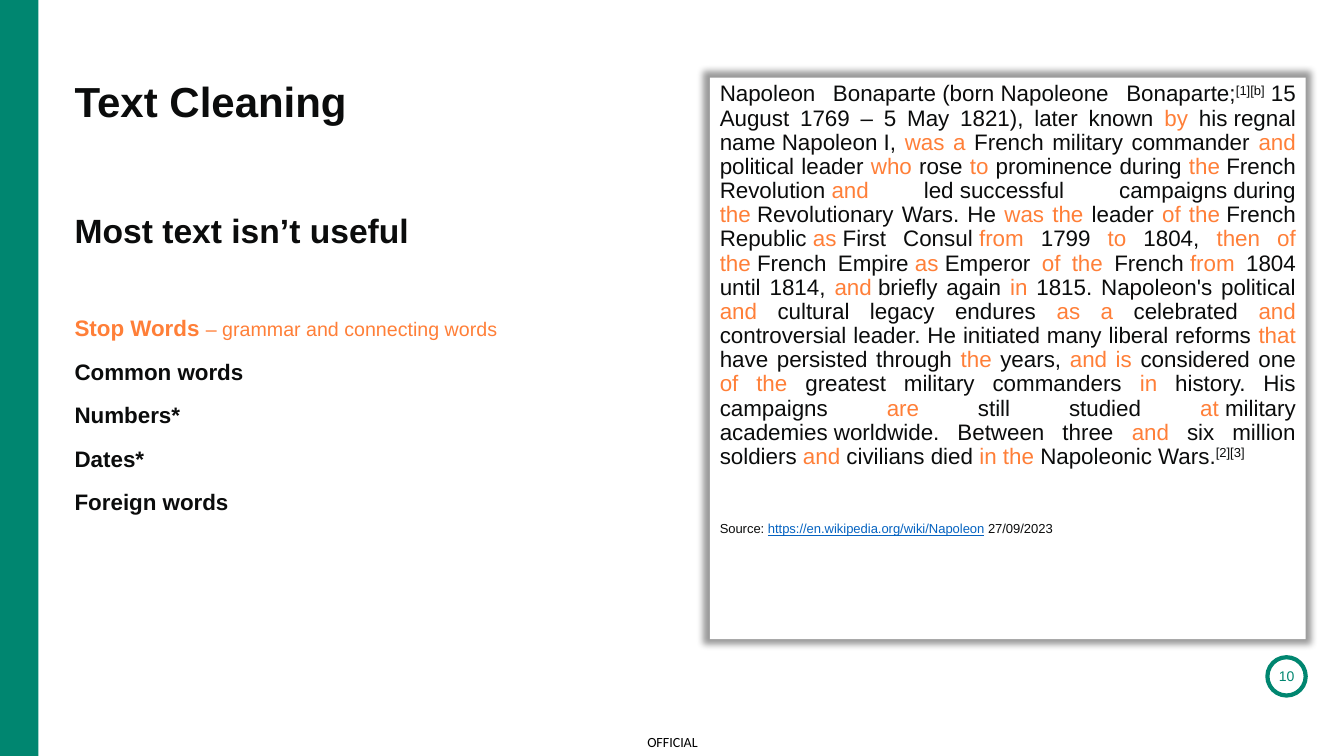
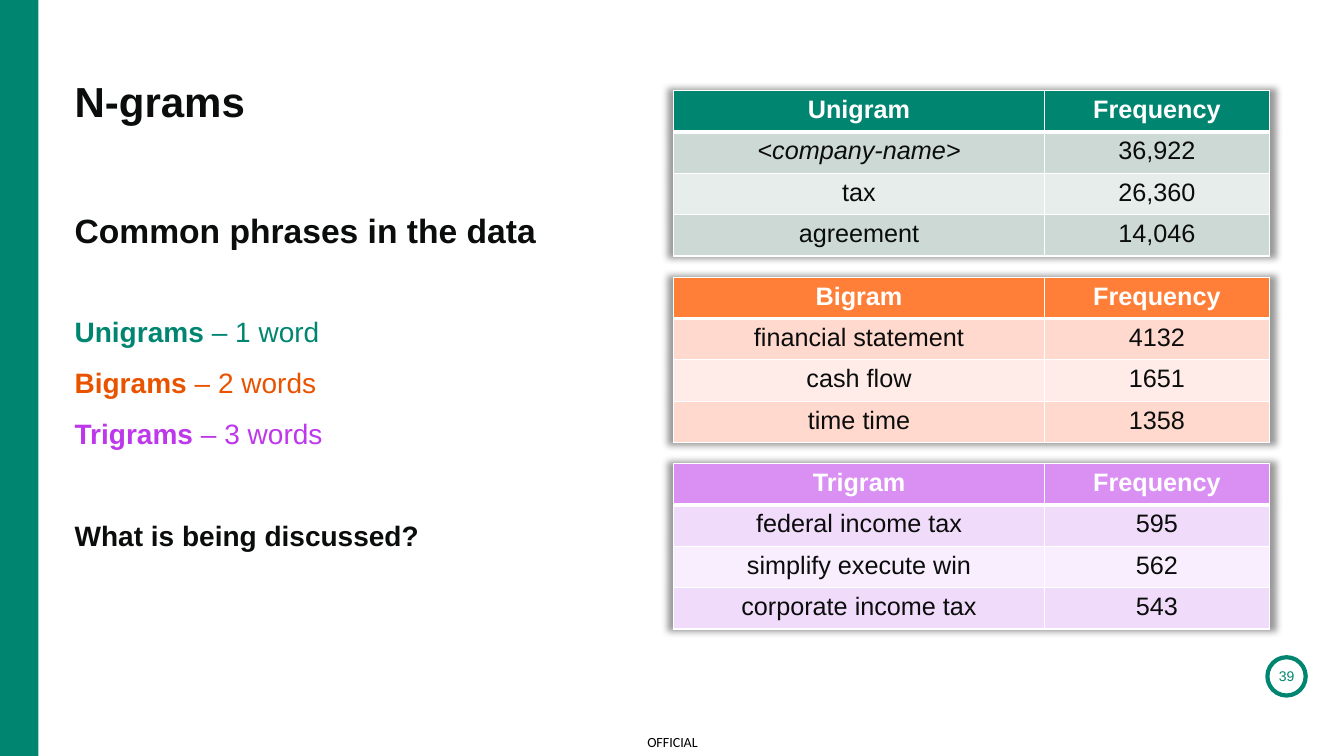
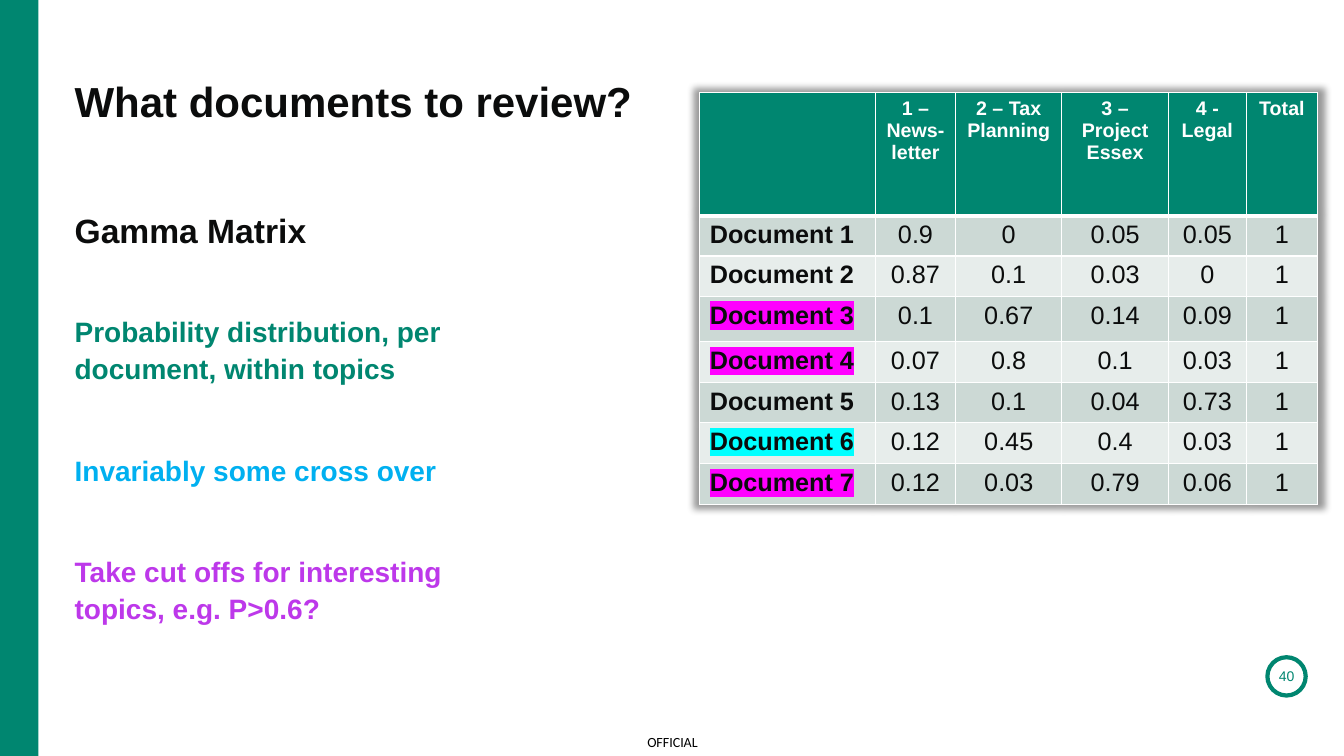
from lxml import etree
from pptx import Presentation
from pptx import util as u
from pptx.dml.color import RGBColor
from pptx.enum import shapes, text
from pptx.oxml import parse_xml
from pptx.oxml.ns import qn

PX = 9144  # 100 px to the inch
FONT = "Arial"
INK, WHITE, BLACK = "0B0C0C", "FFFFFF", "000000"
GREEN, ORANGE, PURPLE = "008670", "FF7F38", "BD38EA"
RUST, SKY, LINK = "E95300", "00B0F0", "0563C1"
MAGENTA, CYAN = "FF00FF", "00FFFF"
GREENS = (GREEN, "CCD9D5", "E7EDEB")  # header, odd rows, even rows
ORANGES = (ORANGE, "FFD8CE", "FFECE8")
PURPLES = ("DA8FF3", "F1DBFA", "F8EEFD")
NS = "http://schemas.openxmlformats.org/drawingml/2006/main"
LEFT, CENTER, JUSTIFY = (text.PP_ALIGN.LEFT, text.PP_ALIGN.CENTER,
                         text.PP_ALIGN.JUSTIFY)
GAP = 46  # points before a paragraph that starts a new group

# Stop words stand between bars; a tilde is a no-break space.
BIOGRAPHY = (
    "~15 August 1769 – 5 May 1821), later known |by |his~regnal name~Napoleon~I, ",
    "|was a| French military commander |and| political leader |who| rose |to| ",
    "prominence during |the~|French Revolution~|and| led~successful ",
    "campaigns~during| the~|Revolutionary Wars. He| was the |leader |of the~|",
    "French Republic~|as~|First Consul~|from| 1799 |to| 1804, |then of the~|",
    "French Empire~|as~|Emperor |of the |French~|from| 1804 until 1814, |and~|",
    "briefly again |in| 1815. Napoleon's political |and| cultural legacy endures ",
    "|as a| celebrated |and| controversial leader. He initiated many liberal ",
    "reforms |that| have persisted through |the| years, |and is |considered one ",
    "|of the |greatest military commanders |in| history. His campaigns |are| ",
    "still studied |at~|military academies~worldwide. Between three |and| six ",
    "million soldiers |and| civilians~died~|in the~|Napoleonic Wars.")


def rgb(value):
    return RGBColor.from_string(value)


def px(*lengths):
    return [u.Emu(n * PX) for n in lengths]


def add_run(p, words, size=16, color=INK, highlight=None, raised=False, **fmt):
    r = p.add_run()
    r.text = words
    for key, value in {"name": FONT, "size": u.Pt(size), **fmt}.items():
        setattr(r.font, key, value)
    r.font.color.rgb = rgb(color)
    props = r.font._element
    if raised:
        props.set("baseline", "30000")
    if highlight:
        mark = etree.Element(qn("a:highlight"))
        etree.SubElement(mark, qn("a:srgbClr")).set("val", highlight)
        props.find(qn("a:solidFill")).addnext(mark)


def fill_text(tf, paras, align=LEFT, spacing=1.1):
    """Write paragraphs, each a pair of space before and list of (words, format)."""
    for i, (before, runs) in enumerate(paras):
        p = tf.add_paragraph() if i else tf.paragraphs[0]
        p.alignment, p.line_spacing = align, spacing
        p.space_before = u.Pt(before if i else 0)
        for words, fmt in runs:
            add_run(p, words, **fmt)


def text_box(slide, box, paras, inset=(0, 0), anchor=text.MSO_ANCHOR.TOP, **layout):
    sp = slide.shapes.add_textbox(*px(*box))
    tf = sp.text_frame
    side, end = px(*inset)
    for key, value in {"word_wrap": True, "vertical_anchor": anchor,
                       "margin_left": side, "margin_right": side,
                       "margin_top": end, "margin_bottom": end}.items():
        setattr(tf, key, value)
    fill_text(tf, paras, **layout)
    return sp


def soft_shadow():
    return parse_xml(
        f'<a:effectLst xmlns:a="{NS}"><a:outerShdw blurRad="63500" sx="102000" '
        'sy="102000" algn="ctr" rotWithShape="0"><a:prstClr val="black">'
        '<a:alpha val="40000"/></a:prstClr></a:outerShdw></a:effectLst>')


def add_frame(slide, number):
    """Side band, marking and page number."""
    band = slide.shapes.add_shape(shapes.MSO_SHAPE.RECTANGLE, *px(0, 0, 38, 750))
    band.shadow.inherit = False
    band.fill.solid()
    band.fill.fore_color.rgb = rgb(GREEN)
    band.line.fill.background()

    middle = text.MSO_ANCHOR.MIDDLE
    text_box(slide, (627, 721, 80, 29),
             [(0, [("OFFICIAL", dict(size=10, color=BLACK, name="Calibri"))])],
             anchor=middle, align=CENTER)

    ring = slide.shapes.add_shape(shapes.MSO_SHAPE.OVAL, *px(1257, 652, 38, 38))
    ring.shadow.inherit = False
    ring.fill.background()
    ring.line.color.rgb = rgb(GREEN)
    ring.line.width = u.Pt(3)
    tf = ring.text_frame
    for side in ("left", "right", "top", "bottom"):
        setattr(tf, f"margin_{side}", 0)
    tf.vertical_anchor, tf.word_wrap = middle, False
    fill_text(tf, [(0, [(str(number), dict(size=10, color=GREEN))])],
              align=CENTER, spacing=1.0)


def new_slide(prs, number, title, subtitle, points, points_width=592):
    slide = prs.slides.add_slide(prs.slide_layouts[6])
    add_frame(slide, number)
    text_box(slide, (74, 75, 592, 50),
             [(0, [(title, dict(size=30, bold=True))])], spacing=1.0)
    text_box(slide, (74, 204, 592, 41),
             [(0, [(subtitle, dict(size=24, bold=True))])])
    text_box(slide, (74, 309, points_width, 366), points)
    return slide


def set_borders(cell, top, bottom):
    props = cell._tc.get_or_add_tcPr()
    for side, width in (("L", 1), ("R", 1), ("T", top), ("B", bottom)):
        props.append(parse_xml(
            f'<a:ln{side} xmlns:a="{NS}" w="{width * 12700}"><a:solidFill>'
            f'<a:srgbClr val="{WHITE}"/></a:solidFill></a:ln{side}>'))


def add_grid(slide, left, top, widths, heights, rows, colors, head_size=18,
             row_names=False, styles=None):
    """Table with a coloured header; styles gives extra formats for some words."""
    styles = styles or {}
    frame = slide.shapes.add_table(len(rows), len(widths),
                                   *px(left, top, sum(widths), sum(heights)))
    tbl = frame.table
    tbl.first_row = tbl.horz_banding = False
    tbl._tbl.tblPr.insert(0, soft_shadow())
    for parts, attr, sizes in ((tbl.columns, "width", widths),
                               (tbl.rows, "height", heights)):
        for part, size in zip(parts, px(*sizes)):
            setattr(part, attr, size)
    for i, row in enumerate(rows):
        shade = colors[0] if i == 0 else colors[2 - i % 2]
        for j, words in enumerate(row):
            cell = tbl.cell(i, j)
            set_borders(cell, 3 if i == 1 else 1, 3 if i == 0 else 1)
            cell.fill.solid()
            cell.fill.fore_color.rgb = rgb(shade)
            named = row_names and j == 0
            fmt = dict(size=18 if i else head_size, color=INK if i else WHITE,
                       bold=i == 0 or named, **styles.get(words, {}))
            if words:
                fill_text(cell.text_frame,
                          [(0, [(line, fmt)]) for line in words.split("\n")],
                          align=LEFT if named and i else CENTER, spacing=1.0)


def biography_panel(slide, box):
    raised = dict(raised=True)
    runs = [("Napoleon Bonaparte~(born~Napoleone Bonaparte;", {}), ("[1][b]", raised)]
    runs += [(part, dict(color=ORANGE if i % 2 else INK))
             for i, part in enumerate("".join(BIOGRAPHY).split("|"))]
    runs.append(("[2][3]", raised))
    source = [("Source: ", raised),
              ("https://en.wikipedia.org/wiki/Napoleon",
               dict(color=LINK, underline=True, raised=True)),
              (" 27/09/2023", raised)]
    life = [(words.replace("~", chr(160)), fmt) for words, fmt in runs]
    sp = text_box(slide, box, [(0, life), (37, source)], inset=(10, 5),
                  align=JUSTIFY, spacing=0.9)
    sp.fill.solid()
    sp.fill.fore_color.rgb = rgb(WHITE)
    sp._element.spPr.append(soft_shadow())


def cleaning_slide(prs):
    points = [(0, [("Stop Words ", dict(color=ORANGE, bold=True)),
                   ("– grammar and connecting words", dict(size=14, color=ORANGE))])]
    points += [(10, [(words, dict(bold=True))]) for words in
               ("Common words", "Numbers*", "Dates*", "Foreign words")]
    slide = new_slide(prs, 10, "Text Cleaning", "Most text isn’t useful", points)
    biography_panel(slide, (704, 77, 591, 557))


def ngrams_slide(prs):
    points = [(10, [(kind, dict(size=20, color=color, bold=True)),
                    (meaning, dict(size=20, color=color))])
              for kind, meaning, color in (("Unigrams ", "– 1 word", GREEN),
                                           ("Bigrams ", "– 2 words", RUST),
                                           ("Trigrams ", "– 3 words", PURPLE))]
    points.append((GAP, [("What is being discussed?", dict(size=20, bold=True))]))
    slide = new_slide(prs, 39, "N-grams", "Common phrases in the data", points)
    tables = (
        ("Unigram", GREENS, [("<company-name>", "36,922"), ("tax", "26,360"),
                             ("agreement", "14,046")]),
        ("Bigram", ORANGES, [("financial statement", "4132"), ("cash flow", "1651"),
                             ("time time", "1358")]),
        ("Trigram", PURPLES, [("federal income tax", "595"),
                              ("simplify execute win", "562"),
                              ("corporate income tax", "543")]))
    for i, (kind, colors, counts) in enumerate(tables):
        add_grid(slide, 668, 90 + 185 * i, (368, 223), [41] * 4,
                 [(kind, "Frequency")] + counts, colors,
                 styles={"<company-name>": dict(italic=True)})


def gamma_slide(prs):
    points = [(GAP, [(words, dict(size=20, color=color, bold=True))])
              for words, color in (
                  ("Probability distribution, per document, within topics", GREEN),
                  ("Invariably some cross over", SKY),
                  ("Take cut offs for interesting topics, e.g. P>0.6?", PURPLE))]
    slide = new_slide(prs, 40, "What documents to review?", "Gamma Matrix", points, 379)
    shares = (("0.9", "0", "0.05", "0.05"), ("0.87", "0.1", "0.03", "0"),
              ("0.1", "0.67", "0.14", "0.09"), ("0.07", "0.8", "0.1", "0.03"),
              ("0.13", "0.1", "0.04", "0.73"), ("0.12", "0.45", "0.4", "0.03"),
              ("0.12", "0.03", "0.79", "0.06"))
    rows = [("", "1 – News-letter", "2 – Tax\nPlanning", "3 – Project\nEssex",
             "4 - Legal", "Total")]
    rows += [(f"Document {n}", *share, "1") for n, share in enumerate(shares, 1)]
    marks = {3: MAGENTA, 4: MAGENTA, 6: CYAN, 7: MAGENTA}
    add_grid(slide, 694, 92, (174, 80, 105, 106, 77, 71),
             (122, 36, 38, 45, 32, 39, 41, 39), rows, GREENS, head_size=14,
             row_names=True, styles={f"Document {n}": dict(highlight=color)
                                     for n, color in marks.items()})


def main():
    prs = Presentation()
    prs.slide_width, prs.slide_height = px(1333, 750)
    cleaning_slide(prs)
    ngrams_slide(prs)
    gamma_slide(prs)
    prs.save("out.pptx")


if __name__ == "__main__":
    main()
